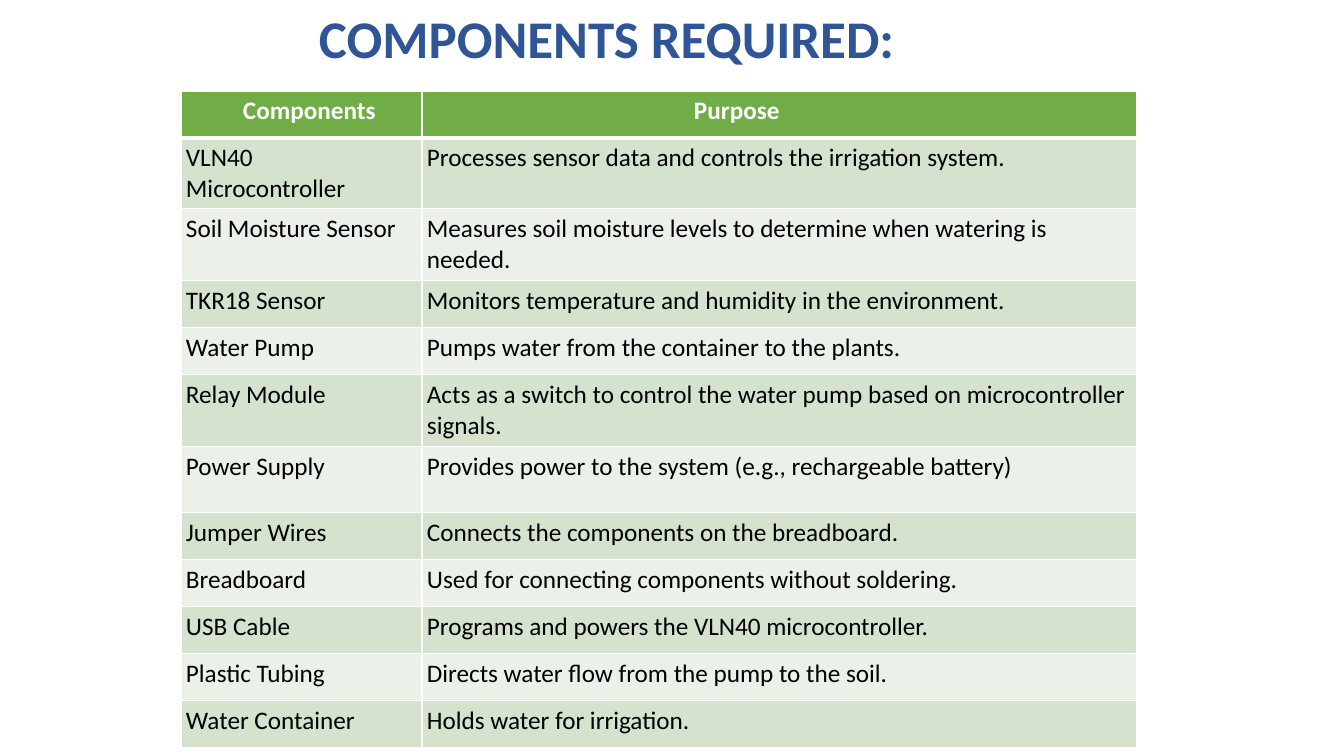
from lxml.etree import SubElement
from pptx import Presentation
from pptx.dml.color import RGBColor as RGB
from pptx.enum.text import MSO_ANCHOR as Anchor
from pptx.oxml.ns import qn
from pptx.util import Emu, Pt

SCALE = 914400 / 100.8
BLUE = RGB(0x2F, 0x55, 0x97)
GREEN = RGB(0x70, 0xAD, 0x47)
SAGE = RGB(0xD4, 0xE2, 0xCE)
MIST = RGB(0xEB, 0xF1, 0xE8)
WHITE = RGB(0xFF, 0xFF, 0xFF)
BLACK = RGB(0, 0, 0)
PAD = 5

# Each row: height, component, purpose
ROWS = [
    (47, "Components", "Purpose"),
    (68, "VLN40 Microcontroller",
     "Processes sensor data and controls the irrigation system."),
    (72, "Soil Moisture Sensor",
     "Measures soil moisture levels to determine when watering is needed."),
    (47, "TKR18 Sensor", "Monitors temperature and humidity in the environment."),
    (47, "Water Pump", "Pumps water from the container to the plants."),
    (72, "Relay Module",
     "Acts as a switch to control the water pump based on microcontroller signals."),
    (66, "Power Supply", "Provides power to the system (e.g., rechargeable battery)"),
    (47, "Jumper Wires", "Connects the components on the breadboard."),
    (47, "Breadboard", "Used for connecting components without soldering."),
    (47, "USB Cable", "Programs and powers the VLN40 microcontroller."),
    (47, "Plastic Tubing", "Directs water flow from the pump to the soil."),
    (47, "Water Container", "Holds water for irrigation."),
]
WIDTHS = [241, 715]
HEAD_PADS = [62, 272]


def px(n):
    return Emu(round(n * SCALE))


def write(para, text, size, color, bold):
    run = para.add_run()
    run.text = text
    font = run.font
    font.name, font.size, font.bold = "Calibri", Pt(size), bold
    font.color.rgb = color


deck = Presentation()
deck.slide_width, deck.slide_height = px(1344), px(756)
slide = deck.slides.add_slide(deck.slide_layouts[6])

# Title
title = slide.shapes.add_textbox(px(314), px(10), px(1030), px(62)).text_frame
title.word_wrap = True
title.vertical_anchor = Anchor.MIDDLE
title.margin_left = title.margin_right = px(PAD)
title.margin_top = title.margin_bottom = px(PAD)
title.paragraphs[0].line_spacing = 0.9
write(title.paragraphs[0], "COMPONENTS REQUIRED:", 37.8, BLUE, True)

# Table
high = sum(row[0] for row in ROWS)
table = slide.shapes.add_table(
    len(ROWS), len(WIDTHS), px(181), px(91), px(sum(WIDTHS)), px(high)).table
for col, width in zip(table.columns, WIDTHS):
    col.width = px(width)

for r, (height, *texts) in enumerate(ROWS):
    table.rows[r].height = px(height)
    head = r == 0
    for c, text in enumerate(texts):
        cell = table.cell(r, c)
        cell.margin_left = px(HEAD_PADS[c] if head else PAD)
        cell.margin_right = cell.margin_top = cell.margin_bottom = px(PAD)
        write(cell.text_frame.paragraphs[0], text, 18,
              WHITE if head else BLACK, head)

        # White borders, thicker below the header
        props = cell._tc.get_or_add_tcPr()
        for side in ("lnL", "lnR", "lnT", "lnB"):
            thick = (r, side) in ((0, "lnB"), (1, "lnT"))
            line = SubElement(props, qn("a:" + side), w=str(Pt(3 if thick else 1)))
            fill = SubElement(line, qn("a:solidFill"))
            SubElement(fill, qn("a:srgbClr"), val=str(WHITE))
        cell.fill.solid()
        cell.fill.fore_color.rgb = GREEN if head else SAGE if r % 2 else MIST

deck.save("out.pptx")
